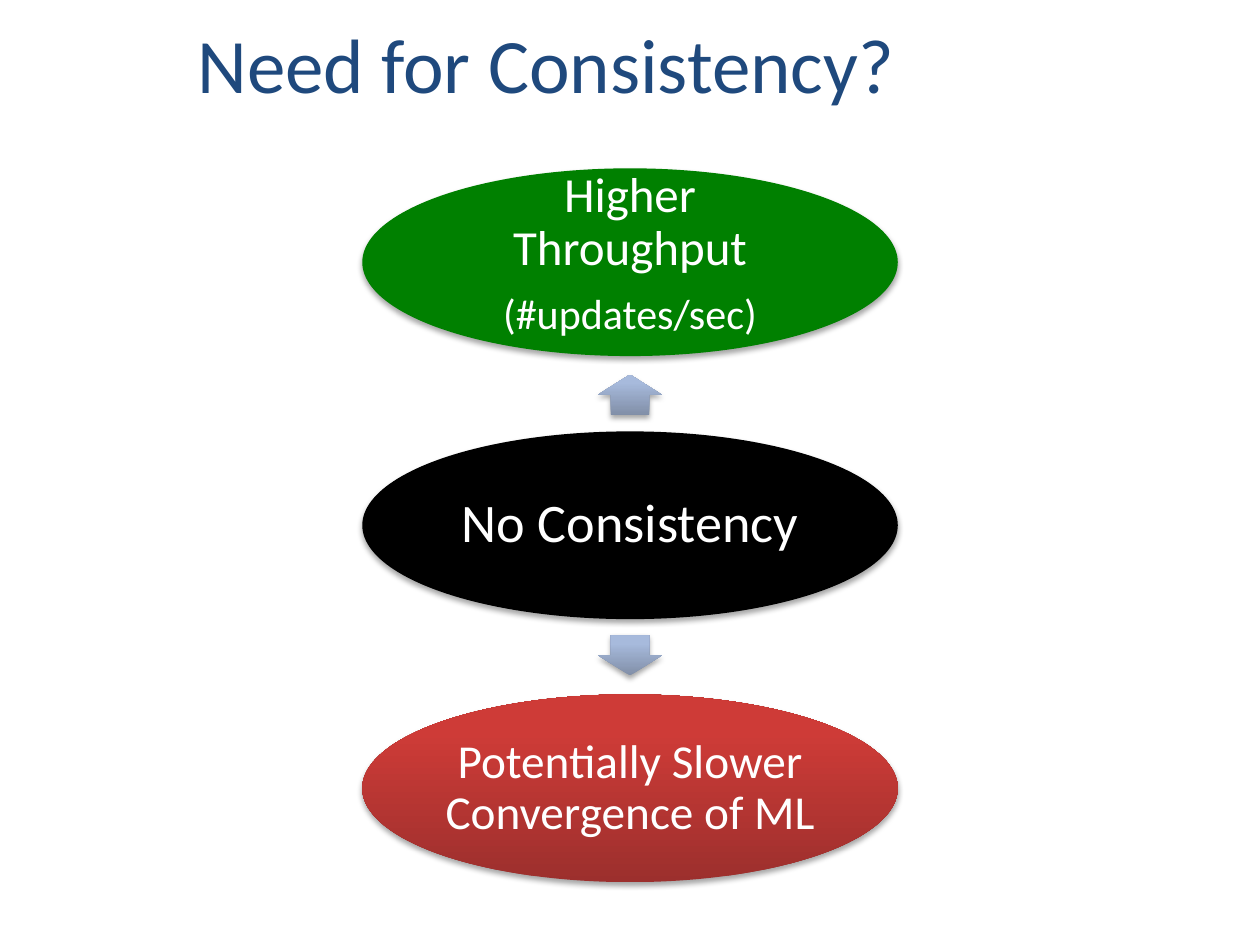
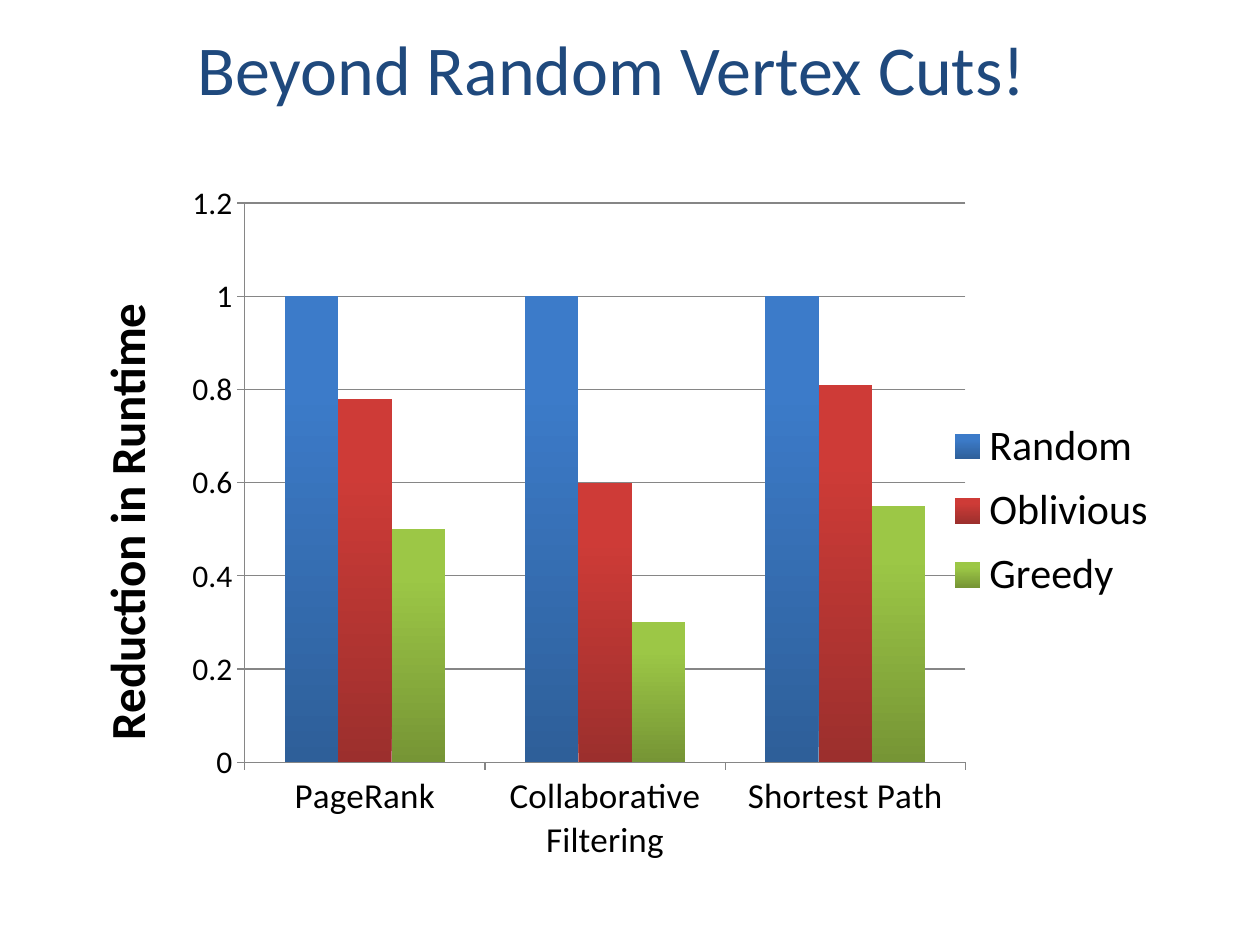
from lxml import etree
from pptx import Presentation
from pptx.chart.data import CategoryChartData
from pptx.dml.color import RGBColor
from pptx.enum.chart import XL_CHART_TYPE as ChartType, XL_LEGEND_POSITION as LegendPosition
from pptx.enum.chart import XL_TICK_MARK as TickMark
from pptx.enum.shapes import MSO_SHAPE as Shape
from pptx.enum.text import MSO_ANCHOR as Anchor, MSO_AUTO_SIZE as AutoSize, PP_ALIGN as Align
from pptx.oxml import parse_xml
from pptx.oxml.ns import nsdecls, qn
from pptx.util import Pt

FONT = "Calibri"
NAVY = RGBColor(0x1F, 0x49, 0x7D)
BLACK = RGBColor(0, 0, 0)
WHITE = RGBColor(0xFF, 0xFF, 0xFF)
GREEN = RGBColor(0, 0x80, 0)
GRID_GRAY = RGBColor(0x86, 0x86, 0x86)
# Shades run from the dark foot to the light top
RED_SHADE = RGBColor(0x9C, 0x2F, 0x2D), RGBColor(0xCE, 0x3B, 0x37)
BLUE_SHADE = RGBColor(0x2E, 0x5F, 0x99), RGBColor(0x3C, 0x7B, 0xC9)
LIME_SHADE = RGBColor(0x76, 0x95, 0x35), RGBColor(0x9C, 0xC7, 0x46)
STEEL_SHADE = RGBColor(0x81, 0x8F, 0xA8), RGBColor(0xA7, 0xBA, 0xDC)
SHADOW = (f'<a:outerShdw {nsdecls("a")} blurRad="39370" dist="22860" dir="5400000" rotWithShape="0">'
          '<a:srgbClr val="000000"><a:alpha val="35000"/></a:srgbClr></a:outerShdw>')


def paint(fill, colour):
    """Fill with one colour, or with a (dark, light) pair shaded upwards."""
    if isinstance(colour, RGBColor):
        fill.solid()
        fill.fore_color.rgb = colour
        return
    fill.gradient()
    fill.gradient_angle = 90
    for stop, shade, position in zip(fill.gradient_stops, colour, (0, 0.8)):
        stop.color.rgb = shade
        stop.position = position


def set_layout(element, index, **fractions):
    """Place a chart part by fractions of the chart area."""
    for old in element.findall(qn("c:layout")):
        element.remove(old)
    layout = etree.Element(qn("c:layout"))
    manual = etree.SubElement(layout, qn("c:manualLayout"))
    if "w" in fractions and index == 0:
        etree.SubElement(manual, qn("c:layoutTarget")).set("val", "inner")
    for side in ("xMode", "yMode"):
        etree.SubElement(manual, qn(f"c:{side}")).set("val", "edge")
    for key, value in fractions.items():
        etree.SubElement(manual, qn(f"c:{key}")).set("val", str(value))
    element.insert(index, layout)


prs = Presentation()
prs.slide_width, prs.slide_height = Pt(720), Pt(540)

slides = []
for heading, size in (("Need for Consistency?", 44), ("Beyond Random Vertex Cuts!", 40)):
    slide = prs.slides.add_slide(prs.slide_layouts[5])
    title = slide.shapes.title
    title.left, title.top, title.width, title.height = Pt(105.6), Pt(6), Pt(590.4), Pt(60)
    frame = title.text_frame
    frame.text = heading
    frame.auto_size = AutoSize.NONE
    frame.vertical_anchor = Anchor.BOTTOM
    frame.paragraphs[0].alignment = Align.LEFT
    font = frame.paragraphs[0].runs[0].font
    font.name, font.size, font.color.rgb = FONT, Pt(size), NAVY
    slides.append(slide)
consistency, cuts = slides

# Slide 1: no consistency leads to two effects
ELLIPSE_WIDTH, ELLIPSE_HEIGHT, ELLIPSE_PITCH = 306, 107.3, 150.3
ellipses = (
    (GREEN, 12, (("Higher Throughput", 28), ("(#updates/sec)", 24))),
    (BLACK, 2.9, (("No Consistency", 31),)),
    (RED_SHADE, 2.9, (("Potentially Slower Convergence of ML", 27),)),
)
parts = []
for row, (colour, foot, lines) in enumerate(ellipses):
    ellipse = consistency.shapes.add_shape(
        Shape.OVAL, Pt(360 - ELLIPSE_WIDTH / 2), Pt(96.2 + row * ELLIPSE_PITCH),
        Pt(ELLIPSE_WIDTH), Pt(ELLIPSE_HEIGHT))
    paint(ellipse.fill, colour)
    frame = ellipse.text_frame
    frame.word_wrap = True
    frame.vertical_anchor = Anchor.MIDDLE
    frame.margin_left = frame.margin_right = Pt(2)
    frame.margin_top, frame.margin_bottom = Pt(2.9), Pt(foot)
    frame.text = "\n".join(text for text, size in lines)
    for paragraph, (text, size) in zip(frame.paragraphs, lines):
        paragraph.alignment = Align.CENTER
        paragraph.line_spacing = 0.9
        paragraph.space_after = Pt(round(0.35 * size))
        font = paragraph.runs[0].font
        font.name, font.size, font.color.rgb = FONT, Pt(size), WHITE
    parts.append(ellipse)

for centre_y, rotation in ((225.5, 270), (374.5, 90)):
    arrow = consistency.shapes.add_shape(
        Shape.RIGHT_ARROW, Pt(348.5), Pt(centre_y - 18.25), Pt(23), Pt(36.5))
    arrow.rotation = rotation
    arrow.adjustments[0], arrow.adjustments[1] = 0.6, 0.5
    paint(arrow.fill, STEEL_SHADE)
    arrow.element.spPr.find(qn("a:gradFill")).set("rotWithShape", "0")
    parts.append(arrow)

for part in parts:
    part.line.fill.background()
    part.shadow.inherit = False
    part.element.spPr.find(qn("a:effectLst")).append(parse_xml(SHADOW))

# Slide 2: runtime of each vertex cut
runtimes = CategoryChartData()
runtimes.categories = ["PageRank", "Collaborative Filtering", "Shortest Path"]
runtimes.add_series("Random", (1, 1, 1))
runtimes.add_series("Oblivious", (0.78, 0.6, 0.81))
runtimes.add_series("Greedy", (0.5, 0.3, 0.55))
chart = cuts.shapes.add_chart(
    ChartType.COLUMN_CLUSTERED, Pt(41.8), Pt(95.8), Pt(653.8), Pt(404.6), runtimes).chart
chart.has_title = False
chart.font.name, chart.font.size, chart.font.color.rgb = FONT, Pt(18), BLACK
set_layout(chart._chartSpace.chart.plotArea, 0, x=0.15, y=0.05, w=0.63, h=0.79)

plot = chart.plots[0]
plot.vary_by_categories = False
plot.gap_width = 150
plot.overlap = 0
for series, shade in zip(plot.series, (BLUE_SHADE, RED_SHADE, LIME_SHADE)):
    paint(series.format.fill, shade)

runtime_axis = chart.value_axis
runtime_axis.minimum_scale, runtime_axis.maximum_scale, runtime_axis.major_unit = 0, 1.2, 0.2
runtime_axis.has_major_gridlines = True
chart.category_axis.tick_labels.font.size = Pt(20)
for axis in (runtime_axis, chart.category_axis):
    axis.major_tick_mark = TickMark.OUTSIDE
    axis.format.line.color.rgb = GRID_GRAY
runtime_axis.major_gridlines.format.line.color.rgb = GRID_GRAY

axis_title = runtime_axis.axis_title
axis_title.text_frame.text = "Reduction in Runtime"
font = axis_title.text_frame.paragraphs[0].runs[0].font
font.name, font.size, font.bold, font.color.rgb = FONT, Pt(28), True, BLACK
set_layout(axis_title._element, 1, x=0.01, y=0.18)

chart.has_legend = True
legend = chart.legend
legend.position = LegendPosition.RIGHT
legend.include_in_layout = False
legend.font.name, legend.font.size, legend.font.color.rgb = FONT, Pt(24), BLACK
set_layout(legend._element, 1, x=0.76, y=0.34, w=0.19, h=0.29)

prs.save("out.pptx")
